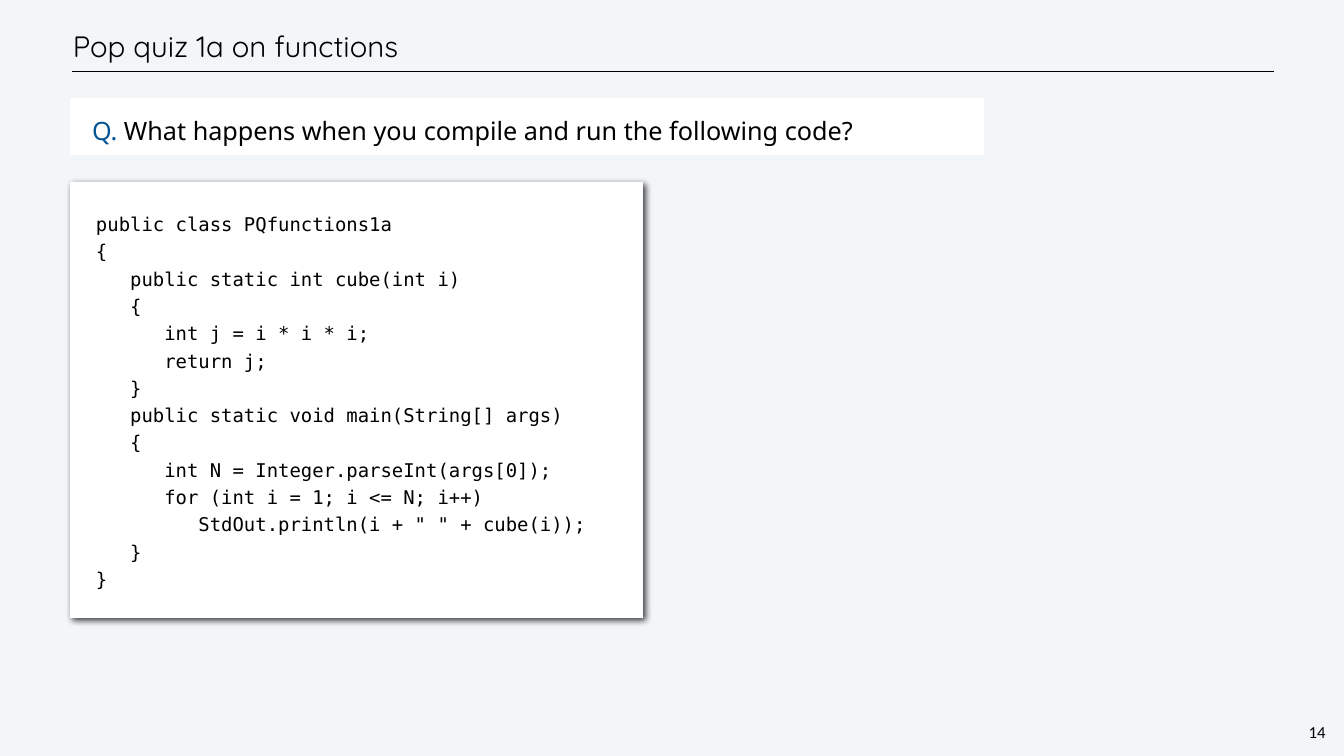
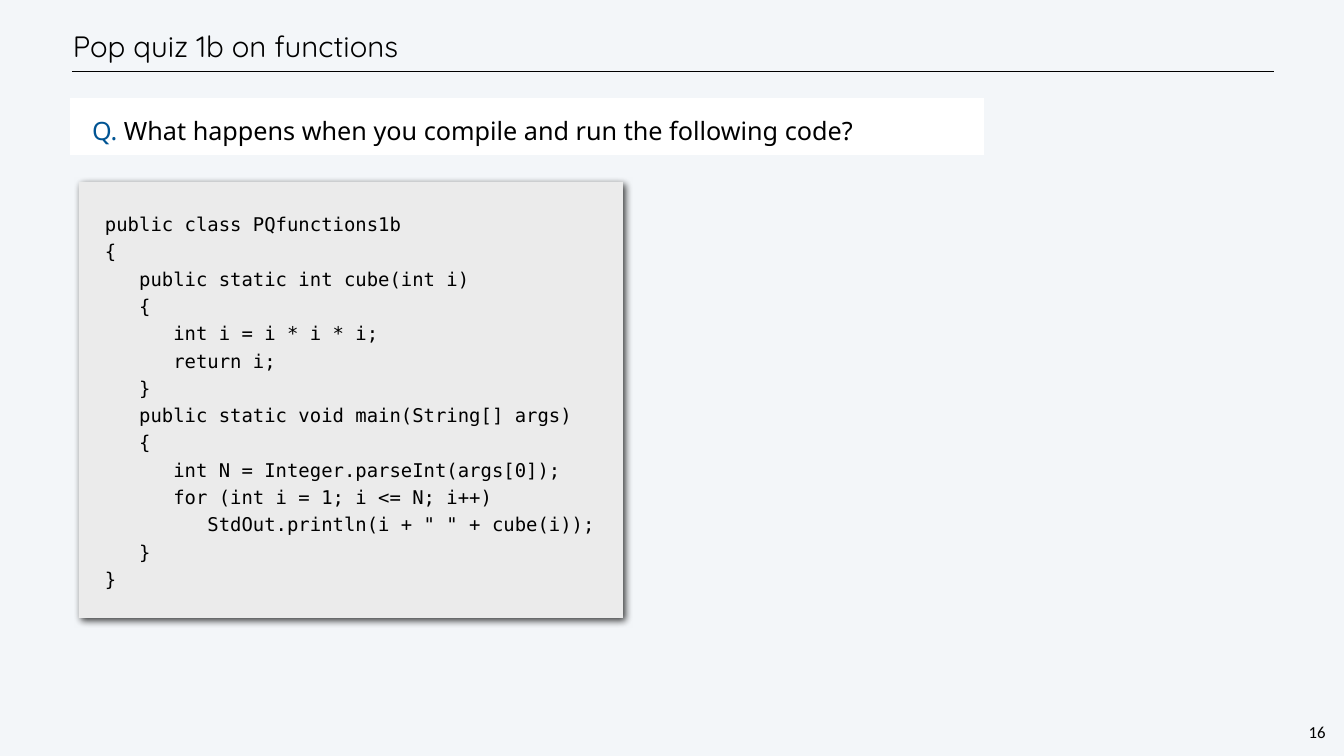
from dataclasses import dataclass

from lxml import etree
from pptx import Presentation
from pptx.dml.color import RGBColor as RGB
from pptx.enum.shapes import MSO_CONNECTOR as CONN, MSO_SHAPE as SHAPE
from pptx.enum.text import MSO_ANCHOR as ANCHOR, PP_ALIGN as ALIGN
from pptx.oxml.ns import qn
from pptx.util import Pt


@dataclass(frozen=True)
class Style:
    font: str
    size: int
    leading: int


class Theme:
    background = RGB(0xF3, 0xF6, 0xF9)
    ink = RGB(0, 0, 0)
    accent = RGB(0x00, 0x54, 0x93)
    white = RGB(0xFF, 0xFF, 0xFF)
    grey = RGB(0xEB, 0xEB, 0xEB)
    title = Style("Quicksand", 42, 50)
    question = Style("Noto Sans", 36, 43)
    code = Style("DejaVu Sans Mono", 27, 39)
    page = Style("Calibri", 24, 28)


SLIDE = (1344, 756)
TITLE_BOX = (70, 21, 1140, 50)
RULE = (72, 71, 1274, 71)
QUESTION_BOX = (70, 98, 914, 57)
PAGE_BOX = (1306, 720, 22, 24)
QUESTION = "What happens when you compile and run the following code?"

# class suffix, local variable, code box, code fill, page number
QUIZZES = [
    ("1a", "j", (70, 182, 573, 436), Theme.white, 14),
    ("1b", "i", (79, 182, 544, 436), Theme.grey, 16),
]


def px(n):
    return round(n * 914400 / 50.4)


def cube_code(quiz, var):
    """Java source of a quiz; var is the local variable that holds the cube."""
    return f"""public class PQfunctions{quiz}
{{
   public static int cube(int i)
   {{
      int {var} = i * i * i;
      return {var};
   }}
   public static void main(String[] args)
   {{
      int N = Integer.parseInt(args[0]);
      for (int i = 1; i <= N; i++)
         StdOut.println(i + " " + cube(i));
   }}
}}"""


def set_frame(sp, inset, anchor=ANCHOR.TOP, wrap=True):
    """Set margins; inset is (horizontal, vertical)."""
    tf = sp.text_frame
    tf.word_wrap = wrap
    tf.vertical_anchor = anchor
    tf.margin_left = tf.margin_right = px(inset[0])
    tf.margin_top = tf.margin_bottom = px(inset[1])
    return tf


def style_paragraph(p, style, align=ALIGN.LEFT):
    p.alignment = align
    p.line_spacing = Pt(style.leading)
    p.font.name = style.font
    p.font.size = Pt(style.size)
    p.font.color.rgb = Theme.ink


def add_panel(s, box, fill):
    sp = s.shapes.add_shape(SHAPE.RECTANGLE, *map(px, box))
    sp.shadow.inherit = False
    sp.fill.solid()
    sp.fill.fore_color.rgb = fill
    sp.line.fill.background()
    return sp


def add_drop_shadow(sp):
    effects = sp.element.spPr.find(qn("a:effectLst"))
    shadow = etree.SubElement(
        effects, qn("a:outerShdw"), blurRad=str(Pt(10)), dist=str(Pt(6)),
        dir=str(45 * 60000), algn="tl", rotWithShape="0")
    color = etree.SubElement(shadow, qn("a:srgbClr"), val=str(Theme.ink))
    etree.SubElement(color, qn("a:alpha"), val="75000")


def add_title(s, box, rule, text):
    line = s.shapes.add_connector(CONN.STRAIGHT, *map(px, rule))
    line.line.color.rgb = Theme.ink
    line.line.width = Pt(1)
    etree.SubElement(line.element.spPr, qn("a:effectLst"))
    tf = set_frame(s.shapes.add_textbox(*map(px, box)), (3, 3), ANCHOR.MIDDLE)
    p = tf.paragraphs[0]
    p.text = text
    style_paragraph(p, Theme.title)


def add_question(s, box, text):
    p = set_frame(add_panel(s, box, Theme.white), (22, 17)).paragraphs[0]
    style_paragraph(p, Theme.question)
    r = p.add_run()
    r.text = "Q. "
    r.font.color.rgb = Theme.accent
    p.add_run().text = text


def add_code(s, box, fill, source):
    sp = add_panel(s, box, fill)
    add_drop_shadow(sp)
    tf = set_frame(sp, (26, 26))
    tf.text = source
    for p in tf.paragraphs:
        style_paragraph(p, Theme.code)


def add_page_number(s, box, number):
    tf = set_frame(s.shapes.add_textbox(*map(px, box)), (2, 2), wrap=False)
    p = tf.paragraphs[0]
    p.text = str(number)
    style_paragraph(p, Theme.page, ALIGN.CENTER)


def add_quiz_slide(prs, quiz, var, code_box, code_fill, number):
    s = prs.slides.add_slide(prs.slide_layouts[6])
    s.background.fill.solid()
    s.background.fill.fore_color.rgb = Theme.background
    add_title(s, TITLE_BOX, RULE, f"Pop quiz {quiz} on functions")
    add_question(s, QUESTION_BOX, QUESTION)
    add_page_number(s, PAGE_BOX, number)
    add_code(s, code_box, code_fill, cube_code(quiz, var))


def main():
    prs = Presentation()
    prs.slide_width, prs.slide_height = map(px, SLIDE)
    for quiz in QUIZZES:
        add_quiz_slide(prs, *quiz)
    prs.save("out.pptx")


if __name__ == "__main__":
    main()
